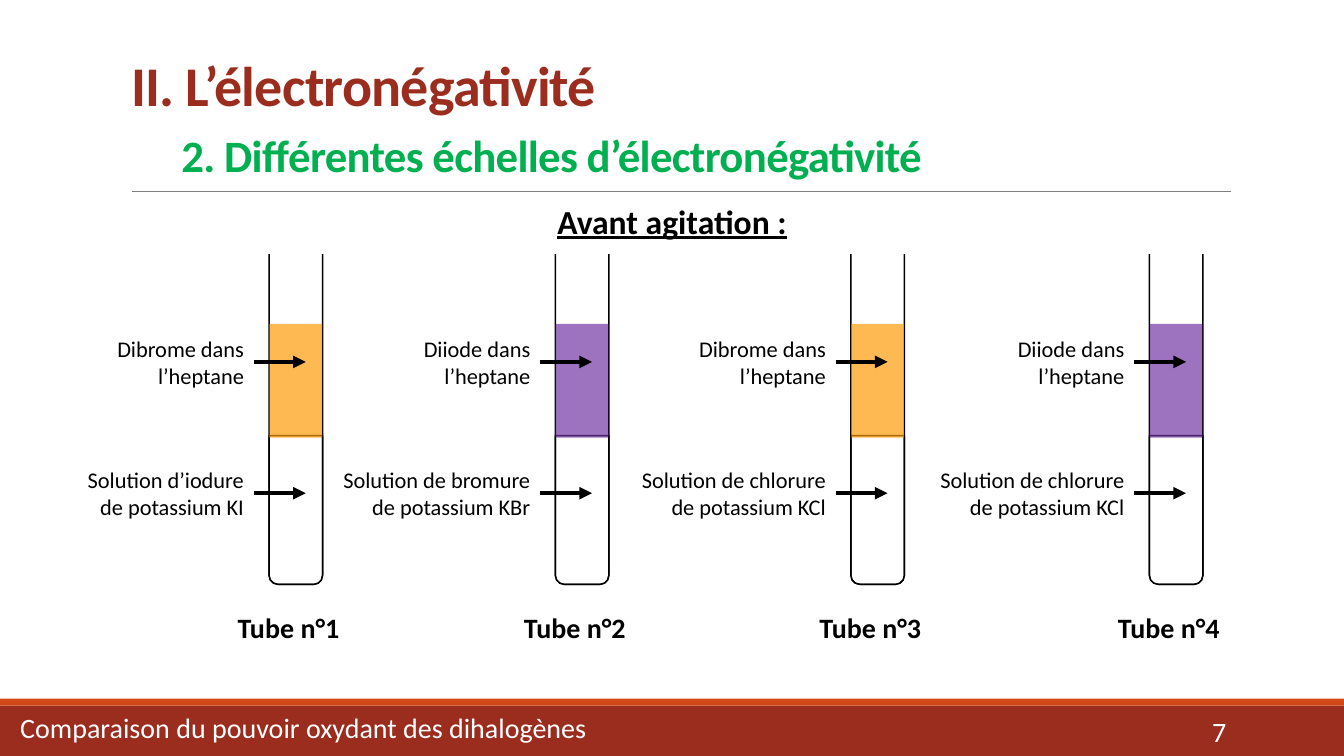
from dataclasses import dataclass

import pptx
import pptx.dml.color
import pptx.enum.dml
import pptx.enum.shapes
import pptx.enum.text
import pptx.oxml.ns
import pptx.util
from lxml import etree

Pt = pptx.util.Pt
RGB = pptx.dml.color.RGBColor
Shapes = pptx.enum.shapes.MSO_SHAPE
Align = pptx.enum.text.PP_ALIGN
Anchor = pptx.enum.text.MSO_ANCHOR
qn = pptx.oxml.ns.qn


@dataclass(frozen=True)
class Theme:
    font: str = "Calibri"
    black: str = "000000"
    white: str = "FFFFFF"
    red: str = "9B2D1F"
    orange: str = "D34817"
    green: str = "00B050"
    grey: str = "808080"
    bromine: str = "FF9900"
    iodine: str = "7030A0"
    title: int = 40
    title_tab: int = 48
    subtitle: int = 32
    heading: int = 24
    caption: int = 20
    label: int = 16


THEME = Theme()


@dataclass(frozen=True)
class Tube:
    left: float
    halogen: str
    colour: str
    solution: str
    solution_width: float


TUBES = [
    Tube(192.2, "Dibrome", THEME.bromine, "Solution d’iodure de potassium KI", 130),
    Tube(396.7, "Diiode", THEME.iodine, "Solution de bromure de potassium KBr", 150),
    Tube(607.8, "Dibrome", THEME.bromine, "Solution de chlorure de potassium KCl", 147),
    Tube(821, "Diiode", THEME.iodine, "Solution de chlorure de potassium KCl", 147),
]
TUBE_WIDTH = 38.2
HALOGEN_WIDTH = 130
LABEL_GAP = 10.8
ARROW_LENGTH = 37


def add_box(shapes, kind, left: float, top: float, width: float, height: float,
            fill: str = "", line: str = "", opacity: int = 100):
    box = shapes.add_shape(kind, Pt(left), Pt(top), Pt(width), Pt(height))
    box.shadow.inherit = False
    if fill:
        box.fill.solid()
        box.fill.fore_color.rgb = RGB.from_string(fill)
        if opacity < 100:
            colour = box.fill._xPr.find(".//" + qn("a:srgbClr"))
            etree.SubElement(colour, qn("a:alpha"), val=str(opacity * 1000))
    else:
        box.fill.background()
    if line:
        box.line.color.rgb = RGB.from_string(line)
        box.line.width = Pt(1)
    else:
        box.line.fill.background()
    return box


def add_line(page, left: float, right: float, y: float, colour: str,
             weight: float, arrow: bool = False) -> None:
    line = page.shapes.add_connector(
        pptx.enum.shapes.MSO_CONNECTOR.STRAIGHT, Pt(left), Pt(y), Pt(right), Pt(y))
    line.line.color.rgb = RGB.from_string(colour)
    line.line.width = Pt(weight)
    if arrow:
        etree.SubElement(line.line._get_or_add_ln(), qn("a:tailEnd"), type="triangle")
    etree.SubElement(line._element.spPr, qn("a:effectLst"))


def style(font, size: int, colour: str, bold: bool = False) -> None:
    font.name = THEME.font
    font.size = Pt(size)
    font.bold = bold
    font.color.rgb = RGB.from_string(colour)


def add_text(page, text: str, left: float, top: float, width: float, height: float,
             size: int, colour: str = THEME.black, bold: bool = False,
             align=Align.LEFT):
    box = page.shapes.add_textbox(Pt(left), Pt(top), Pt(width), Pt(height))
    box.text_frame.word_wrap = True
    para = box.text_frame.paragraphs[0]
    para.text = text
    para.alignment = align
    style(para.font, size, colour, bold)
    return box


def add_title(page) -> None:
    title = page.shapes.title
    title.left, title.top, title.width, title.height = Pt(86.4), Pt(22.3), Pt(792), Pt(114.5)
    frame = title.text_frame
    frame.word_wrap = True
    frame.auto_size = pptx.enum.text.MSO_AUTO_SIZE.NONE
    frame.vertical_anchor = Anchor.BOTTOM
    para = frame.paragraphs[0]
    para.alignment = Align.LEFT
    para.line_spacing = 0.85
    for text, size, colour in (
            ("II. L’électronégativité", THEME.title, THEME.red),
            ("\t", THEME.title_tab, THEME.green),
            ("2. Différentes échelles d’électronégativité", THEME.subtitle, THEME.green)):
        if text == "\t":
            para.add_line_break()
        span = para.add_run()
        span.text = text
        style(span.font, size, colour, bold=True)
        span.font._element.set("spc", "-50")


def add_footer(page) -> None:
    add_box(page.shapes, Shapes.RECTANGLE, 0, 504, 960, 36, THEME.red)
    add_box(page.shapes, Shapes.RECTANGLE, 0, 499, 960, 5, THEME.orange)
    number = add_text(page, "7", 780, 508.3, 103, 28.8, THEME.caption, THEME.white,
                      align=Align.RIGHT)
    number.text_frame.vertical_anchor = Anchor.MIDDLE
    topic = add_text(page, "Comparaison du pouvoir oxydant des dihalogènes",
                     0, 506.9, 960, 33, THEME.caption, THEME.white)
    topic.text_frame.margin_left = Pt(14.4)
    topic.text_frame.paragraphs[0].line_spacing = 0.9


def add_tube(page, tube: Tube, number: int) -> None:
    # Glass: full tube, lower liquid, and a white mask that opens the top
    glass = page.shapes.add_group_shape().shapes
    for top, height in ((170, 247.4), (311.2, 106.2)):
        part = add_box(glass, Shapes.ROUND_2_SAME_RECTANGLE, tube.left, top,
                       TUBE_WIDTH, height, line=THEME.black)
        part.rotation = 180
    add_box(glass, Shapes.RECTANGLE, tube.left - 19.2, 162.7, 76.5, 18,
            THEME.white, THEME.white)

    # Upper liquid
    add_box(page.shapes, Shapes.RECTANGLE, tube.left + 0.3, 231.3, 37.6, 81.4,
            tube.colour, opacity=68)

    # Labels with arrows
    label_right = tube.left - LABEL_GAP
    for text, width, y in ((f"{tube.halogen} dans l’heptane", HALOGEN_WIDTH, 258.5),
                           (tube.solution, tube.solution_width, 352.3)):
        add_line(page, label_right, label_right + ARROW_LENGTH, y, THEME.black, 3, arrow=True)
        add_text(page, text, label_right - width, y - 22.9, width, 46, THEME.label,
                 align=Align.RIGHT)

    # Caption
    add_text(page, f"Tube n°{number}", tube.left - 29.6, 432.7, 97.2, 31.5,
             THEME.caption, bold=True)


def main() -> None:
    deck = pptx.Presentation()
    deck.slide_width, deck.slide_height = Pt(960), Pt(540)
    page = deck.slides.add_slide(deck.slide_layouts[5])

    # Frame of the slide
    add_footer(page)
    add_line(page, 94.3, 879, 136.8, THEME.grey, 0.5)
    add_title(page)

    # Experiment
    for number, tube in enumerate(TUBES, start=1):
        add_tube(page, tube, number)
    heading = add_text(page, "Avant agitation :", 0, 139.7, 960, 36, THEME.heading,
                       bold=True, align=Align.CENTER)
    heading.text_frame.paragraphs[0].font.underline = True

    deck.save("out.pptx")


if __name__ == "__main__":
    main()
